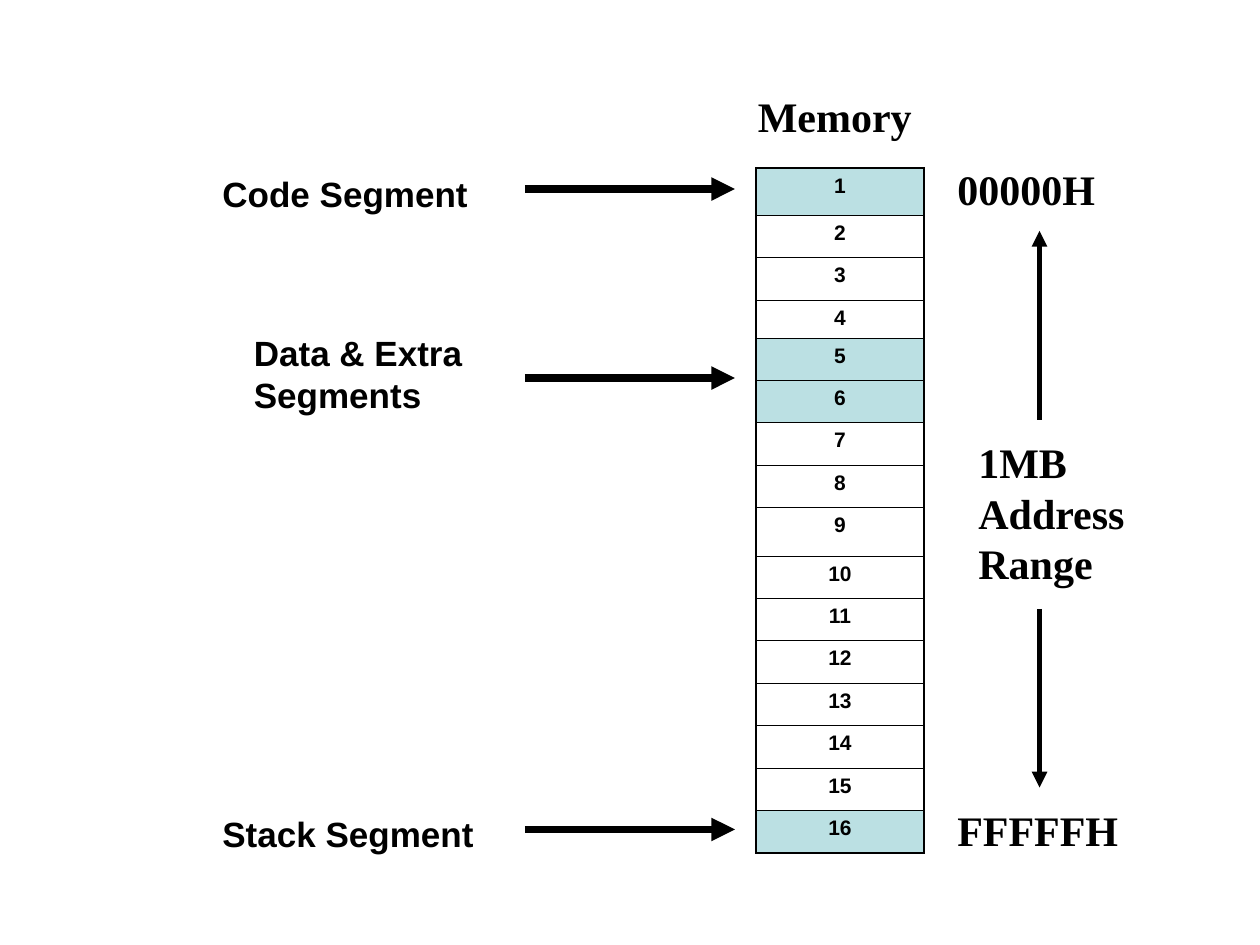
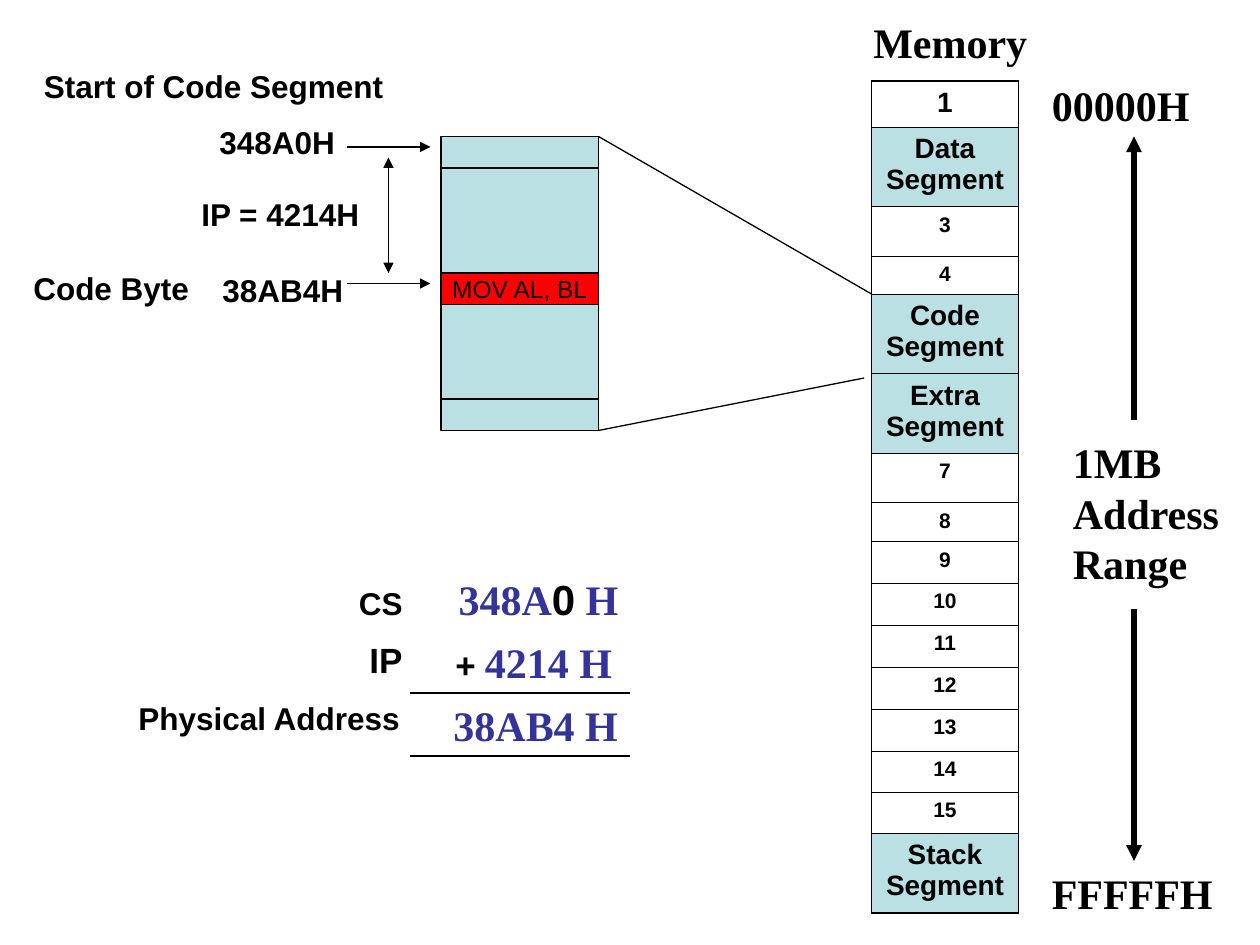
"""Build two slides on memory segments and physical addresses."""
from dataclasses import dataclass
from typing import NamedTuple

from lxml.etree import SubElement
from pptx import Presentation
from pptx.dml.color import RGBColor
from pptx.enum.shapes import MSO_CONNECTOR as Connector, MSO_SHAPE as Shape
from pptx.enum.text import MSO_ANCHOR as Anchor, MSO_AUTO_SIZE as AutoSize, PP_ALIGN as Align
from pptx.oxml.ns import qn
from pptx.slide import Slide
from pptx.util import Emu, Pt

EMU_PER_PX = 7620
BLACK, WHITE, SHADE, RED, BLUE = "000000", "FFFFFF", "BBE0E3", "FF0000", "333399"
SANS, SERIF = "Arial", "Times New Roman"
OUTER_EDGE, INNER_EDGE, THIN, MEDIUM, THICK = 1.08, 0.45, 0.75, 3, 4.5
SEGMENT_SIZE = 16


class Span(NamedTuple):
    text: str
    font: str = SANS
    size: int = 18
    color: str = BLACK
    bold: bool = True


class Label(NamedTuple):
    left: int
    top: int
    width: int
    height: int
    spans: tuple[Span, ...]


class Line(NamedTuple):
    x1: int
    y1: int
    x2: int
    y2: int
    weight: float = THIN
    head: bool = False
    tail: bool = False


class Cell(NamedTuple):
    text: str
    height: int
    shaded: bool = False
    size: int = 12


@dataclass(frozen=True)
class MemoryMap:
    left: int
    top: int
    width: int
    cells: list[Cell]
    title_top: int
    address_left: int
    start_top: int
    end_top: int
    arrow_top: int
    arrow_bottom: int


def px(length: int) -> Emu:
    return Emu(length * EMU_PER_PX)


def rgb(color: str) -> RGBColor:
    return RGBColor.from_string(color)


def format_run(run, span: Span) -> None:
    font = run.font
    font.name, font.size, font.bold = span.font, Pt(span.size), span.bold
    font.color.rgb = rgb(span.color)


def draw_label(page: Slide, label: Label) -> None:
    box = page.shapes.add_textbox(*map(px, label[:4]))
    frame = box.text_frame
    frame.word_wrap = True
    frame.auto_size = AutoSize.SHAPE_TO_FIT_TEXT
    para = frame.paragraphs[0]
    for span in label.spans:
        run = para.add_run()
        run.text = span.text
        format_run(run, span)


def draw_line(page: Slide, line: Line) -> None:
    connector = page.shapes.add_connector(Connector.STRAIGHT, *map(px, line[:4]))
    connector.line.color.rgb = rgb(BLACK)
    connector.line.width = Pt(line.weight)
    outline = connector.line._get_or_add_ln()
    for tag, shown in (("a:headEnd", line.head), ("a:tailEnd", line.tail)):
        if shown:
            SubElement(outline, qn(tag), type="triangle")
    SubElement(connector._element.spPr, qn("a:effectLst"))


def draw_block(page: Slide, left: int, top: int, width: int, height: int, fill: str):
    block = page.shapes.add_shape(Shape.RECTANGLE, *map(px, (left, top, width, height)))
    block.shadow.inherit = False
    block.fill.solid()
    block.fill.fore_color.rgb = rgb(fill)
    block.line.color.rgb = rgb(BLACK)
    block.line.width = Pt(THIN)
    return block


def draw_borders(table_cell, is_first: bool, is_last: bool) -> None:
    properties = table_cell._tc.get_or_add_tcPr()
    edges = {
        "a:lnL": OUTER_EDGE,
        "a:lnR": OUTER_EDGE,
        "a:lnT": OUTER_EDGE if is_first else INNER_EDGE,
        "a:lnB": OUTER_EDGE if is_last else INNER_EDGE,
    }
    for tag, weight in edges.items():
        edge = SubElement(properties, qn(tag), w=str(Pt(weight)))
        SubElement(SubElement(edge, qn("a:solidFill")), qn("a:srgbClr"), val=BLACK)


def draw_cells(page: Slide, memory: MemoryMap) -> None:
    cells = memory.cells
    height = sum(cell.height for cell in cells)
    table = page.shapes.add_table(
        len(cells), 1, px(memory.left), px(memory.top), px(memory.width), px(height)
    ).table
    table.first_row = table.horz_banding = False
    for index, cell in enumerate(cells):
        table.rows[index].height = px(cell.height)
        target = table.cell(index, 0)
        draw_borders(target, index == 0, index == len(cells) - 1)
        target.fill.solid()
        target.fill.fore_color.rgb = rgb(SHADE if cell.shaded else WHITE)
        target.text_frame.text = cell.text
        para = target.text_frame.paragraphs[0]
        para.alignment = Align.CENTER
        format_run(para.runs[0], Span(cell.text, size=cell.size))


def draw_memory(page: Slide, memory: MemoryMap) -> None:
    draw_cells(page, memory)
    x = memory.address_left
    for left, top, width, height, text in (
        (memory.left - 10, memory.title_top, 190, 60, "Memory"),
        (x, memory.start_top, 160, 60, "00000H"),
        (x, memory.end_top, 190, 60, "FFFFFH"),
        (x + 20, 410, 170, 156, "1MB Address Range"),
    ):
        draw_label(page, Label(left, top, width, height, (Span(text, SERIF, 24),)))
    axis = x + 90
    draw_line(page, Line(axis, memory.arrow_top, axis, 400, MEDIUM, head=True))
    draw_line(page, Line(axis, 580, axis, memory.arrow_bottom, MEDIUM, tail=True))


def build_segments(page: Slide) -> None:
    heights = (45, 40, 41, 36, 40, 40, 41, 40, 47, 40, 40, 41, 40, 41, 40, 41)
    cells = [
        Cell(str(number), height, number in (1, 5, 6, 16))
        for number, height in enumerate(heights, 1)
    ]
    draw_memory(page, MemoryMap(720, 160, 160, cells, 80, 900, 150, 760, 220, 750))
    for left, top, width, height, text, arrow_y in (
        (200, 158, 280, 53, "Code Segment", 180),
        (230, 310, 240, 92, "Data & Extra Segments", 360),
        (200, 768, 280, 53, "Stack Segment", 790),
    ):
        draw_label(page, Label(left, top, width, height, (Span(text, size=20),)))
        draw_line(page, Line(500, arrow_y, 700, arrow_y, THICK, tail=True))


def build_address(page: Slide) -> None:
    heights = (44, 76, 47, 36, 76, 76, 47, 37, 40, 40, 40, 40, 40, 39, 39, 76)
    segments = {2: "Data", 5: "Code", 6: "Extra", 16: "Stack"}
    cells = [
        Cell(f"{segments[number]} Segment", height, True, SEGMENT_SIZE)
        if number in segments
        else Cell(str(number), height, size=SEGMENT_SIZE if number == 1 else 12)
        for number, height in enumerate(heights, 1)
    ]
    draw_memory(page, MemoryMap(830, 77, 140, cells, 10, 990, 70, 820, 130, 820))

    draw_block(page, 420, 130, 150, 280, SHADE)
    code_byte = draw_block(page, 420, 260, 150, 30, RED)
    frame = code_byte.text_frame
    frame.text = "MOV AL, BL"
    frame.word_wrap = False
    frame.vertical_anchor = Anchor.MIDDLE
    para = frame.paragraphs[0]
    para.alignment = Align.CENTER
    format_run(para.runs[0], Span(frame.text, size=14, bold=False))

    for line in (
        Line(570, 130, 830, 280),
        Line(570, 410, 823, 360),
        Line(420, 160, 570, 160),
        Line(420, 380, 570, 380),
        Line(330, 140, 410, 140, tail=True),
        Line(330, 270, 410, 270, tail=True),
        Line(370, 150, 370, 260, head=True, tail=True),
        Line(390, 660, 600, 660),
        Line(390, 720, 600, 720),
    ):
        draw_line(page, line)

    for label in (
        Label(30, 58, 350, 48, (Span("Start of Code Segment"),)),
        Label(197, 111, 160, 48, (Span("348A0H"),)),
        Label(180, 180, 180, 48, (Span("IP = 4214H"),)),
        Label(20, 250, 180, 48, (Span("Code Byte"),)),
        Label(200, 252, 160, 48, (Span("38AB4H"),)),
        Label(330, 550, 80, 48, (Span("CS"),)),
        Label(340, 602, 80, 53, (Span("IP", size=20),)),
        Label(120, 660, 280, 48, (Span("Physical Address"),)),
        Label(422, 607, 50, 53, (Span("+", size=20),)),
        Label(425, 540, 190, 60, (
            Span("348A", SERIF, 24, BLUE),
            Span("0", SANS, 24),
            Span(" H", SERIF, 24, BLUE),
        )),
        Label(450, 600, 180, 60, (Span("4214 H", SERIF, 24, BLUE),)),
        Label(420, 660, 200, 60, (Span("38AB4 H", SERIF, 24, BLUE),)),
    ):
        draw_label(page, label)


def main() -> None:
    deck = Presentation()
    deck.slide_width, deck.slide_height = px(1200), px(900)
    blank = deck.slide_layouts[6]
    for build in (build_segments, build_address):
        build(deck.slides.add_slide(blank))
    deck.save("out.pptx")


if __name__ == "__main__":
    main()
